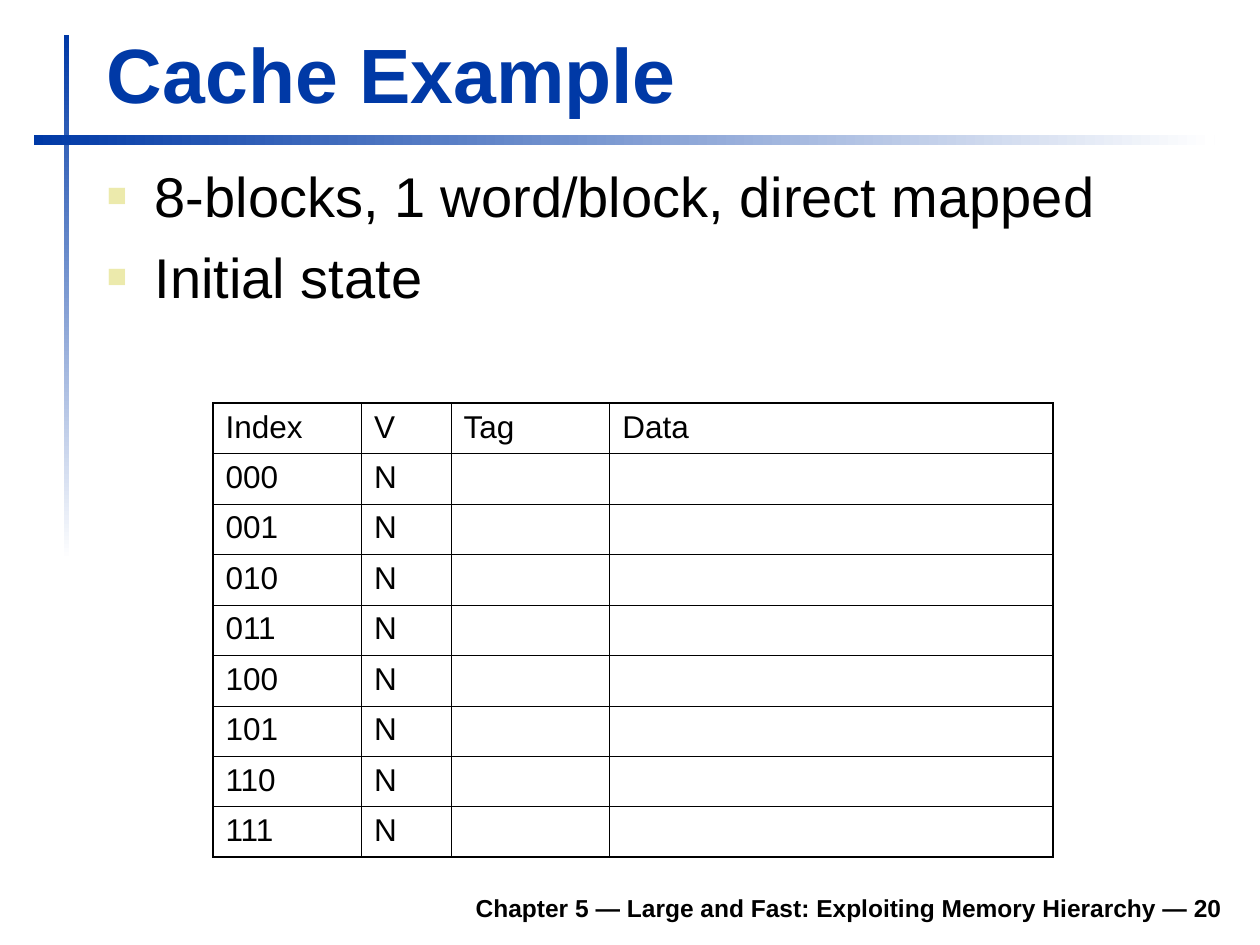
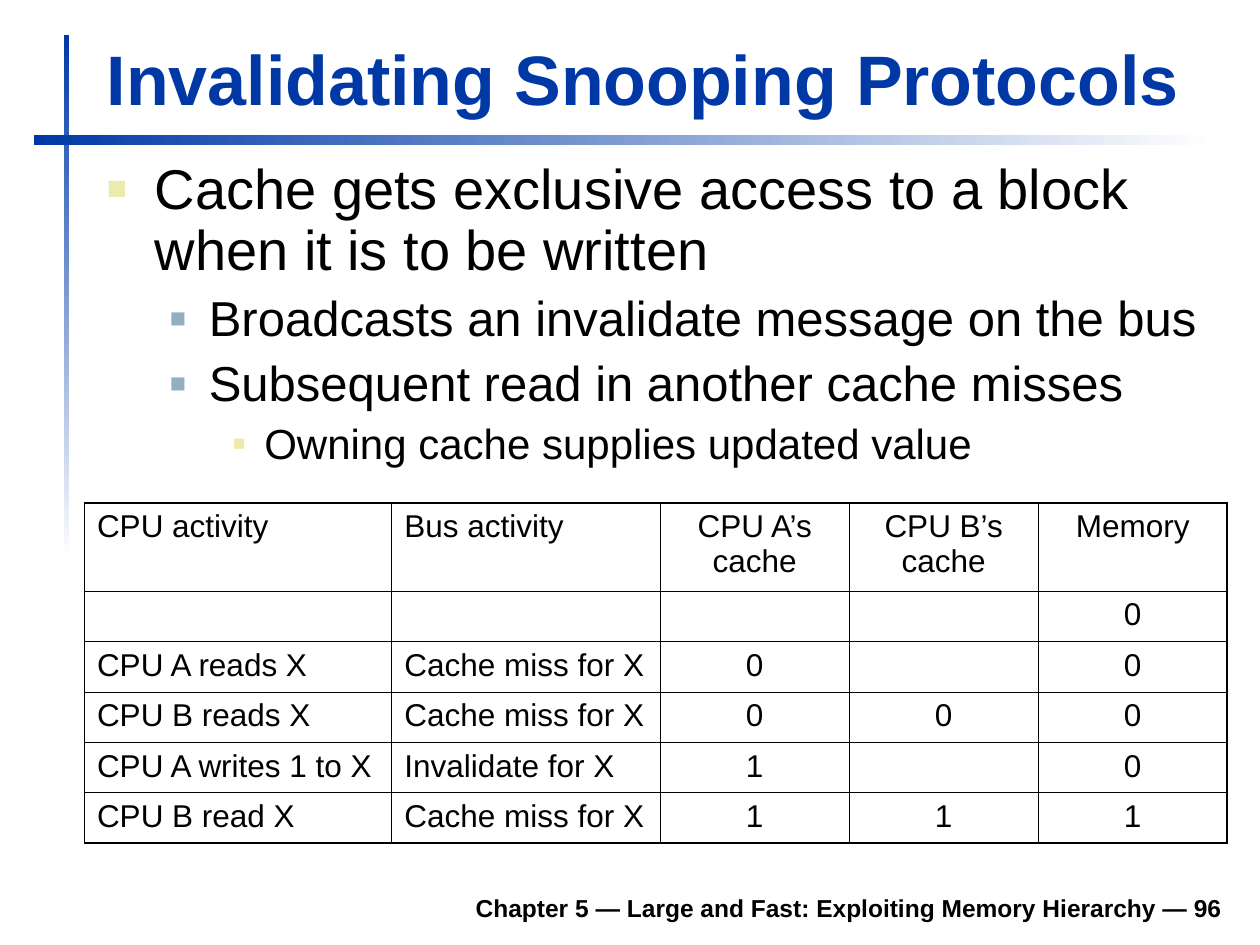
from lxml.etree import SubElement
from pptx import Presentation
from pptx.dml.color import RGBColor
from pptx.enum.shapes import MSO_SHAPE as Shape
from pptx.enum.text import MSO_ANCHOR as Anchor, PP_ALIGN as Align
from pptx.oxml.ns import qn
from pptx.util import Inches, Pt

FONT = "Arial"
BLUE, BLACK, WHITE = "0039A6", "000000", "FFFFFF"
CREAM, STEEL = "ECEAAC", "91AFBF"
OUTER, HEADER_RULE, INNER = 1.08, 0.75, 0.45
FOOTER = "Chapter 5 — Large and Fast: Exploiting Memory Hierarchy — {}"
OUTLINE_LEVELS = [
    dict(size=32, before=8, left=0.38, hang=0.38, bullet=CREAM, scale=60),
    dict(size=28, before=7, left=0.81, hang=0.31, bullet=STEEL, scale=55),
    dict(size=24, before=6, left=1.25, hang=0.25, bullet=CREAM, scale=50),
]


def color(value):
    return RGBColor.from_string(value)


def set_font(paragraph, size, value=BLACK, bold=False):
    font = paragraph.font
    font.name, font.size, font.bold = FONT, Pt(size), bold
    font.color.rgb = color(value)


def add_text_frame(slide, box, anchor):
    frame = slide.shapes.add_textbox(*map(Inches, box)).text_frame
    frame.word_wrap = True
    frame.vertical_anchor = anchor
    return frame


def add_band(slide, box, angle):
    band = slide.shapes.add_shape(Shape.RECTANGLE, *map(Inches, box))
    band.shadow.inherit = False
    band.line.fill.background()
    band.fill.gradient()
    band.fill.gradient_angle = angle
    for stop, value in zip(band.fill.gradient_stops, (BLUE, WHITE)):
        stop.color.rgb = color(value)


def add_line_of_text(slide, box, text, size, value, align):
    paragraph = add_text_frame(slide, box, Anchor.BOTTOM).paragraphs[0]
    paragraph.text = text
    paragraph.alignment = align
    set_font(paragraph, size, value, bold=True)


def add_frame(slide, title, title_size, title_box, number):
    add_band(slide, (0.51, 0.28, 0.04, 4.17), 270)
    add_band(slide, (0.27, 1.07, 9.37, 0.08), 0)
    add_line_of_text(slide, (1.85, 6.98, 7.95, 0.39), FOOTER.format(number),
                     14, BLACK, Align.RIGHT)
    add_line_of_text(slide, title_box, title, title_size, BLUE, Align.LEFT)


def set_bullet(paragraph, style):
    props = paragraph._p.get_or_add_pPr()
    props.set("marL", str(Inches(style["left"])))
    props.set("indent", str(-Inches(style["hang"])))
    tint = SubElement(props, qn("a:buClr"))
    SubElement(tint, qn("a:srgbClr"), val=style["bullet"])
    SubElement(props, qn("a:buSzPct"), val=str(style["scale"] * 1000))
    SubElement(props, qn("a:buFont"), typeface=FONT)
    SubElement(props, qn("a:buChar"), char="■")


def add_outline(slide, box, points, line_spacing=1.0):
    frame = add_text_frame(slide, box, Anchor.TOP)
    for position, (level, text) in enumerate(points):
        paragraph = frame.add_paragraph() if position else frame.paragraphs[0]
        style = OUTLINE_LEVELS[level]
        paragraph.text = text
        paragraph.level = level
        paragraph.line_spacing = line_spacing
        paragraph.space_before = Pt(style["before"])
        set_bullet(paragraph, style)
        set_font(paragraph, style["size"])


def set_borders(cell, widths):
    props = cell._tc.get_or_add_tcPr()
    for side, width in zip("LRTB", widths):
        edge = SubElement(props, qn(f"a:ln{side}"), w=str(Pt(width)))
        fill = SubElement(edge, qn("a:solidFill"))
        SubElement(fill, qn("a:srgbClr"), val=BLACK)


def add_grid(slide, box, widths, heights, rows, aligns, header_rule=INNER):
    grid = slide.shapes.add_table(len(rows), len(widths), *map(Inches, box)).table
    grid.first_row = grid.horz_banding = False
    for column, width in zip(grid.columns, widths):
        column.width = Inches(width)
    for row, height in zip(grid.rows, heights):
        row.height = Inches(height)
    across = [OUTER] + [INNER] * (len(widths) - 1) + [OUTER]
    down = [OUTER, header_rule] + [INNER] * (len(rows) - 2) + [OUTER]
    for r, texts in enumerate(rows):
        for c, text in enumerate(texts):
            cell = grid.cell(r, c)
            set_borders(cell, across[c:c + 2] + down[r:r + 2])
            cell.fill.background()
            paragraph = cell.text_frame.paragraphs[0]
            paragraph.text = text
            paragraph.alignment = aligns[c]
            paragraph.space_before = Pt(4.5)
            set_font(paragraph, 18)


def build_cache_example(slide):
    add_frame(slide, "Cache Example", 44, (0.75, 0.16, 9.03, 0.83), 20)
    add_outline(slide, (0.75, 1.23, 9.04, 1.46), [
        (0, "8-blocks, 1 word/block, direct mapped"),
        (0, "Initial state"),
    ])
    blocks = [(f"{index:03b}", "N", "", "") for index in range(8)]
    add_grid(slide, (1.69, 3.2, 6.67, 3.6), (1.18, 0.71, 1.26, 3.52), [0.4] * 9,
             [("Index", "V", "Tag", "Data")] + blocks, [Align.LEFT] * 4, HEADER_RULE)


def build_snooping_protocols(slide):
    add_frame(slide, "Invalidating Snooping Protocols", 40, (0.75, 0.23, 9.03, 0.77), 96)
    add_outline(slide, (0.75, 1.23, 9.04, 2.6), [
        (0, "Cache gets exclusive access to a block when it is to be written"),
        (1, "Broadcasts an invalidate message on the bus"),
        (1, "Subsequent read in another cache misses"),
        (2, "Owning cache supplies updated value"),
    ], line_spacing=0.9)
    activity = [
        ("CPU activity", "Bus activity", "CPU A’s cache", "CPU B’s cache", "Memory"),
        ("", "", "", "", "0"),
        ("CPU A reads X", "Cache miss for X", "0", "", "0"),
        ("CPU B reads X", "Cache miss for X", "0", "0", "0"),
        ("CPU A writes 1 to X", "Invalidate for X", "1", "", "0"),
        ("CPU B read X", "Cache miss for X", "1", "1", "1"),
    ]
    add_grid(slide, (0.67, 3.99, 9.06, 2.7), (2.44, 2.13, 1.5, 1.5, 1.5),
             [0.7] + [0.4] * 5, activity, [Align.LEFT] * 2 + [Align.CENTER] * 3)


def main():
    deck = Presentation()
    deck.slide_width, deck.slide_height = Inches(10), Inches(7.5)
    for build in (build_cache_example, build_snooping_protocols):
        build(deck.slides.add_slide(deck.slide_layouts[6]))
    deck.save("out.pptx")


if __name__ == "__main__":
    main()
